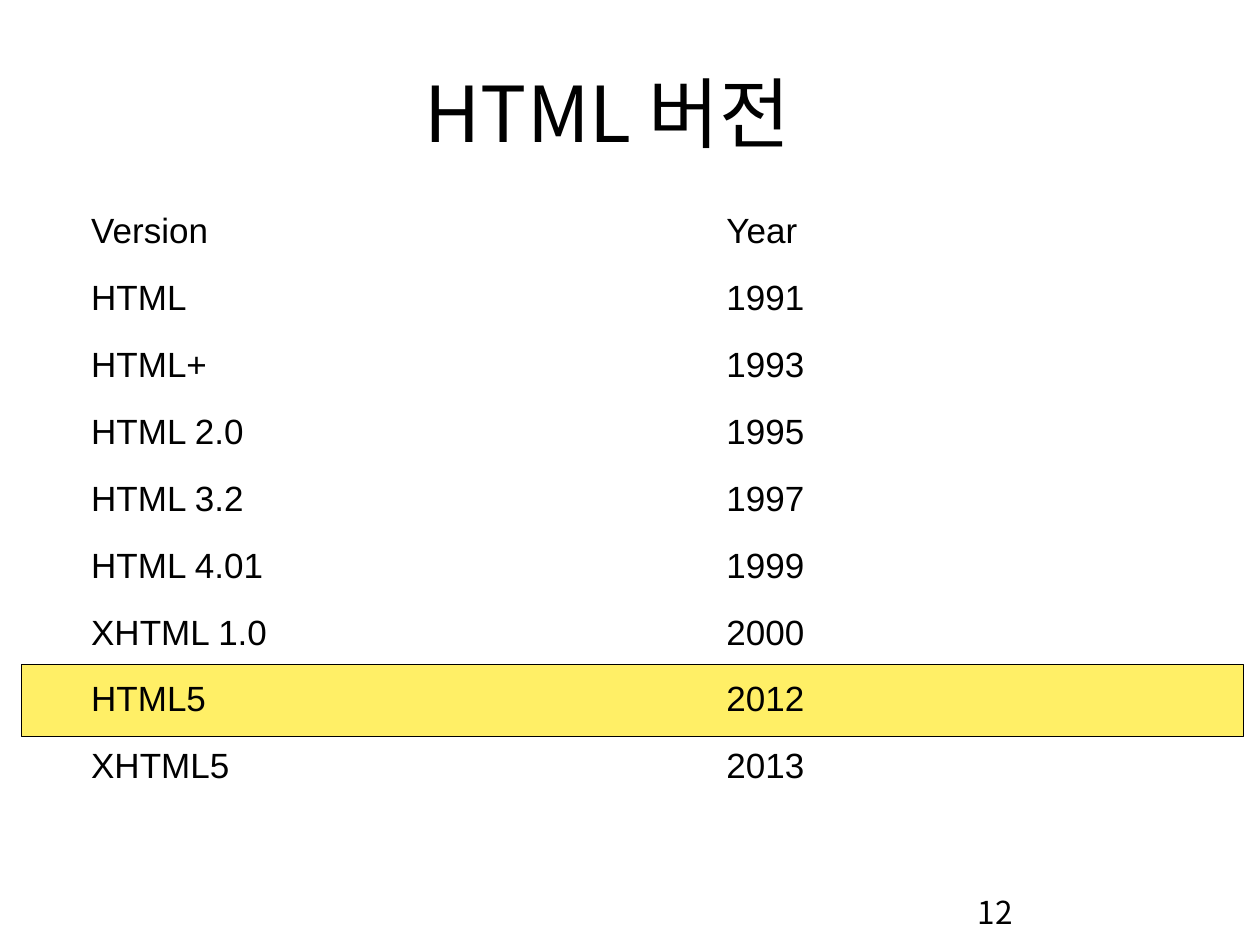
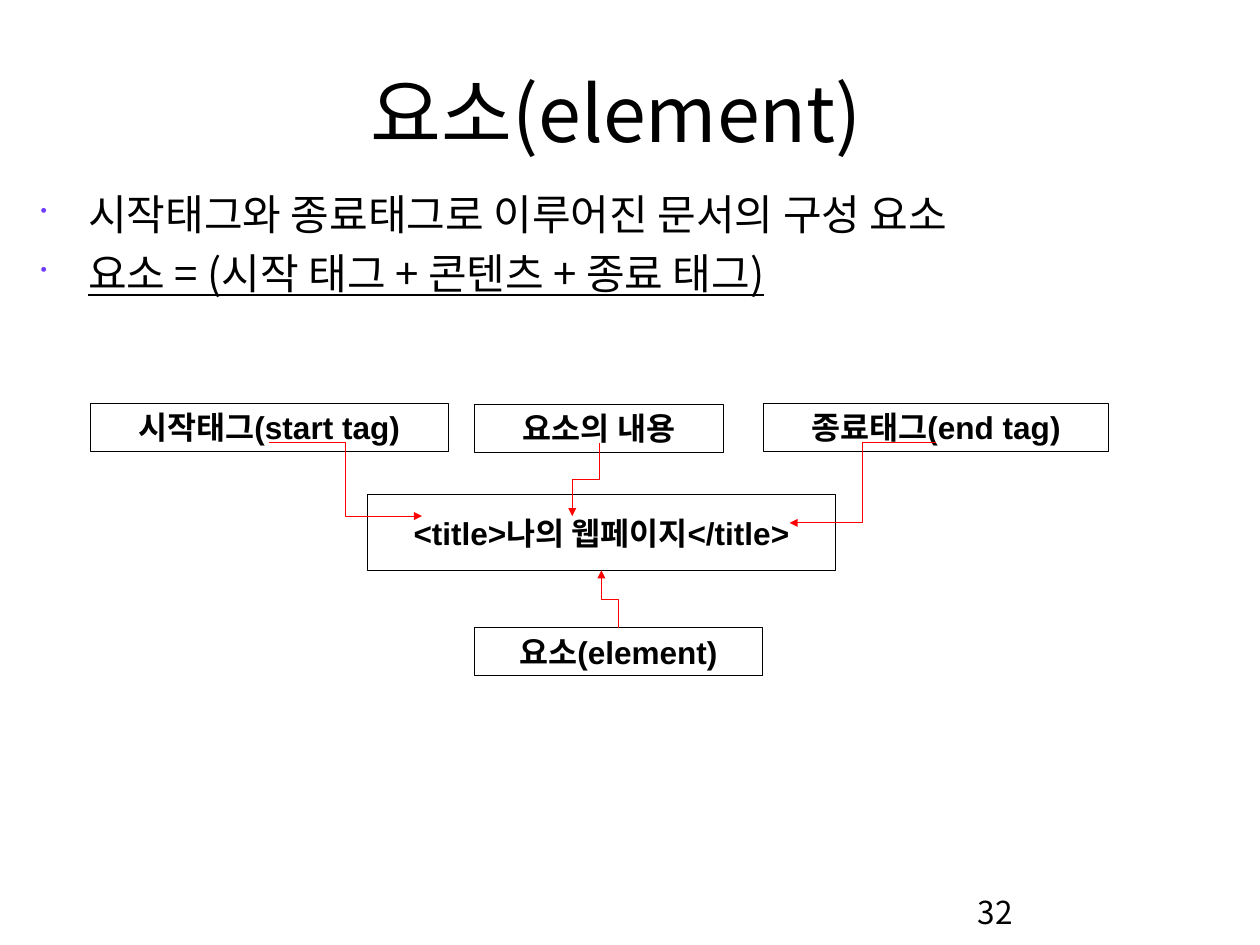
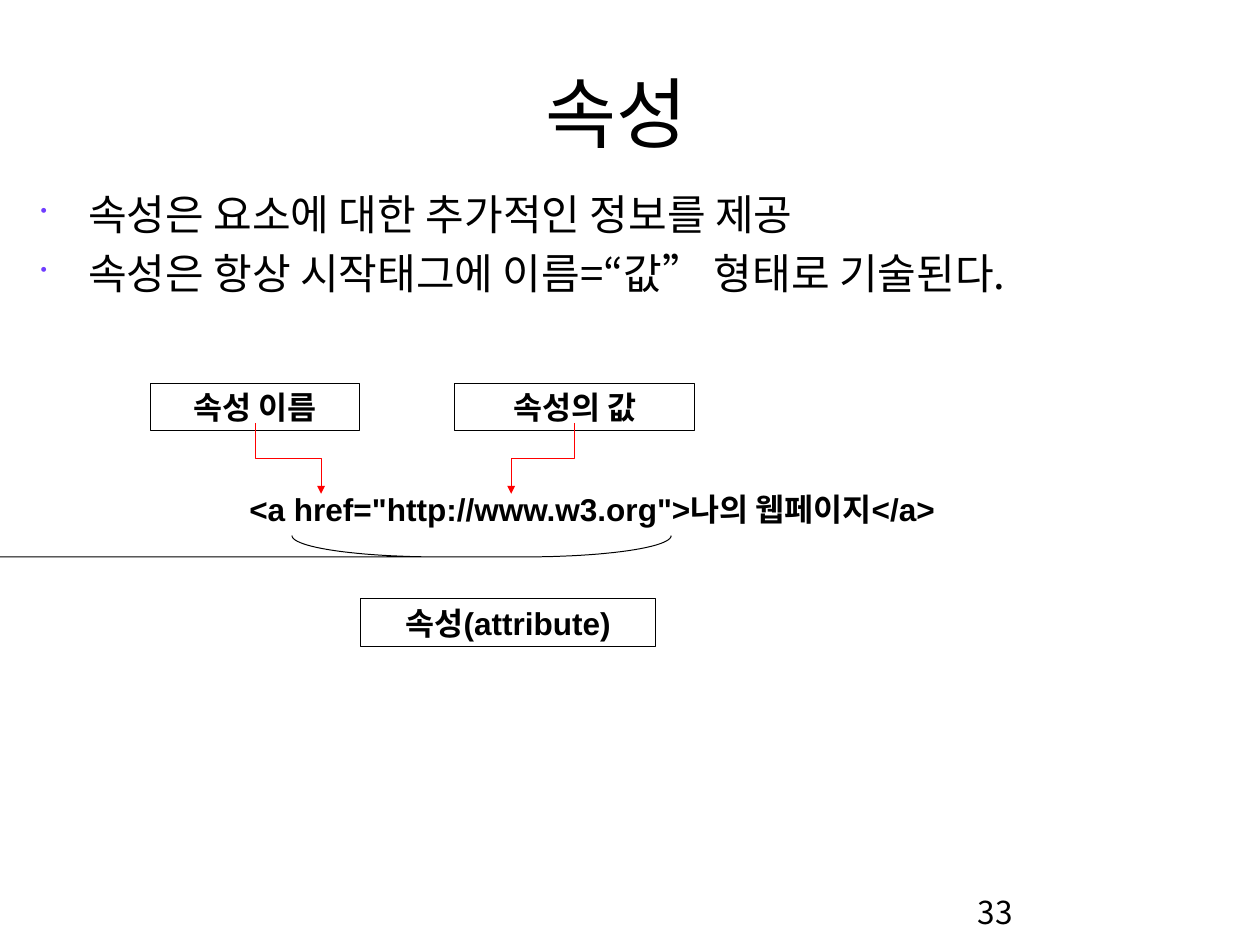
"""Build three slides on HTML versions, elements and attributes."""
import math
from dataclasses import dataclass

import lxml.etree
import pptx
import pptx.dml.color
import pptx.enum.shapes
import pptx.enum.text
import pptx.oxml.ns
import pptx.util
from pptx.util import Inches

BLACK = pptx.dml.color.RGBColor(0x00, 0x00, 0x00)
RED = pptx.dml.color.RGBColor(0xFF, 0x00, 0x00)
YELLOW = pptx.dml.color.RGBColor(0xFF, 0xEF, 0x66)
BULLET = pptx.dml.color.RGBColor(0x70, 0x3D, 0xFF)
SANS = "Noto Sans CJK KR"
ARIAL = "Arial"
PLAIN_TABLE = "{2D5ABB26-0587-4C30-8999-92F81FD0307C}"
ALIGN = pptx.enum.text.PP_ALIGN
ANCHOR = pptx.enum.text.MSO_ANCHOR
SHAPE = pptx.enum.shapes.MSO_SHAPE
LINK = pptx.enum.shapes.MSO_CONNECTOR
qn = pptx.oxml.ns.qn

VERSIONS = [
    ("Version", "Year"),
    ("HTML", "1991"),
    ("HTML+", "1993"),
    ("HTML 2.0", "1995"),
    ("HTML 3.2", "1997"),
    ("HTML 4.01", "1999"),
    ("XHTML 1.0", "2000"),
    ("HTML5", "2012"),
    ("XHTML5", "2013"),
]


@dataclass
class Box:
    """A bold label, framed or bare."""

    text: str
    left: float
    top: float
    width: float
    height: float = 0.49
    framed: bool = True


@dataclass
class Arrow:
    """A bent arrow that leaves its start sideways or upright."""

    x1: float
    y1: float
    x2: float
    y2: float
    upright: bool = True


def style(para, size: float, face: str = SANS, bold: bool = False) -> None:
    """Set the font of a whole paragraph."""
    font = para.font
    font.size = pptx.util.Pt(size)
    font.bold = bold
    font.color.rgb = BLACK
    font.name = face
    props = para._p.pPr.find(qn("a:defRPr"))
    lxml.etree.SubElement(props, qn("a:ea"), typeface=SANS)


def add_text(slide, text: str, left: float, top: float, width: float, height: float):
    """Add a wrapping text box and return its frame."""
    box = slide.shapes.add_textbox(Inches(left), Inches(top), Inches(width), Inches(height))
    frame = box.text_frame
    frame.word_wrap = True
    frame.text = text
    return frame


def add_base(deck, title: str, number: int):
    """Add a slide with its title and page number."""
    slide = deck.slides.add_slide(deck.slide_layouts[6])
    frame = add_text(slide, title, 1.05, 0.61, 10.61, 1.08)
    frame.vertical_anchor = ANCHOR.MIDDLE
    frame.paragraphs[0].alignment = ALIGN.CENTER
    style(frame.paragraphs[0], 57.2)
    style(add_text(slide, str(number), 9.98, 9.15, 2.68, 0.6).paragraphs[0], 23.4)
    return slide


def add_points(slide, lines: list[str], under: int = -1) -> None:
    """Add the bulleted lines, one of them underlined if asked."""
    frame = add_text(slide, "\n".join(lines), 0.32, 1.89, 12.32, 7.06)
    for index, para in enumerate(frame.paragraphs):
        if index:
            para.space_before = pptx.util.Pt(6.2)
        props = para._p.get_or_add_pPr()
        props.set("marL", str(Inches(0.49)))
        props.set("indent", str(-Inches(0.49)))
        tint = lxml.etree.SubElement(props, qn("a:buClr"))
        lxml.etree.SubElement(tint, qn("a:srgbClr"), val=str(BULLET))
        lxml.etree.SubElement(props, qn("a:buSzPct"), val="45000")
        lxml.etree.SubElement(props, qn("a:buChar"), char="•")
        style(para, 31.2)
        if index == under:
            para.font.underline = True


def outline(shape) -> None:
    """Give a shape a thin black line and no shadow."""
    shape.shadow.inherit = False
    shape.line.color.rgb = BLACK
    shape.line.width = pptx.util.Pt(0.75)


def add_box(slide, box: Box) -> None:
    """Draw one label."""
    shape = slide.shapes.add_shape(
        SHAPE.RECTANGLE, Inches(box.left), Inches(box.top), Inches(box.width), Inches(box.height)
    )
    outline(shape)
    shape.fill.background()
    if not box.framed:
        shape.line.fill.background()
    frame = shape.text_frame
    frame.word_wrap = True
    frame.vertical_anchor = ANCHOR.MIDDLE
    frame.text = box.text
    frame.paragraphs[0].alignment = ALIGN.CENTER if box.framed else ALIGN.LEFT
    frame.margin_left = frame.margin_right = Inches(0.1 if box.framed else 0.13)
    style(frame.paragraphs[0], 23.4, ARIAL, True)


def add_arrow(slide, arrow: Arrow) -> None:
    """Draw one red bent arrow, turned a quarter if upright."""
    x1, y1, x2, y2 = arrow.x1, arrow.y1, arrow.x2, arrow.y2
    turn = 0
    if arrow.upright:
        mid_x, mid_y = (x1 + x2) / 2, (y1 + y2) / 2
        half_x, half_y = (x2 - x1) / 2, (y2 - y1) / 2
        turn = 90 if half_x * half_y < 0 else 270
        sign = 1 if turn == 90 else -1
        x1, x2 = mid_x - sign * half_y, mid_x + sign * half_y
        y1, y2 = mid_y + sign * half_x, mid_y - sign * half_x
    link = slide.shapes.add_connector(LINK.ELBOW, Inches(x1), Inches(y1), Inches(x2), Inches(y2))
    link.line.color.rgb = RED
    link.line.width = pptx.util.Pt(0.75)
    props = link._element.spPr
    if turn:
        props.find(qn("a:xfrm")).set("rot", str(turn * 60000))
    lxml.etree.SubElement(props.find(qn("a:ln")), qn("a:tailEnd"), type="triangle")
    lxml.etree.SubElement(props, qn("a:effectLst"))


def add_brace(slide) -> None:
    """Draw the curved line under the attribute."""
    top, drop, reach, steps = 5.52, 0.22, 1.51, 24
    angles = [math.pi / 2 * step / steps for step in range(steps + 1)]
    right = [(5.41 + reach * math.cos(a), top + drop * math.sin(a)) for a in angles]
    left = [(4.52 - reach * math.cos(a), top + drop * math.sin(a)) for a in reversed(angles)]
    points = [(Inches(x), Inches(y)) for x, y in right + [(0, top + drop)] + left]
    pen = slide.shapes.build_freeform(*points[0])
    pen.add_line_segments(points[1:], close=False)
    shape = pen.convert_to_shape()
    shape.fill.background()
    outline(shape)


def add_table(slide) -> None:
    """Add the plain table of versions."""
    rows = len(VERSIONS)
    table = slide.shapes.add_table(
        rows, 2, Inches(0.85), Inches(2), Inches(11.42), Inches(0.69 * rows)
    ).table
    table.first_row = table.horz_banding = False
    table._tbl.tblPr.find(qn("a:tableStyleId")).text = PLAIN_TABLE
    for column, width in zip(table.columns, (6.55, 4.87)):
        column.width = Inches(width)
    for row, texts in zip(table.rows, VERSIONS):
        for cell, text in zip(row.cells, texts):
            cell.text = text
            cell.fill.background()
            cell.vertical_anchor = ANCHOR.MIDDLE
            cell.margin_left = cell.margin_right = Inches(0.09)
            para = cell.text_frame.paragraphs[0]
            para.alignment = ALIGN.JUSTIFY
            para.line_spacing = 1.2
            style(para, 26, ARIAL)


def draw(slide, boxes: list[Box], arrows: list[Arrow]) -> None:
    """Draw the labels, then the arrows over them."""
    for box in boxes:
        add_box(slide, box)
    for arrow in arrows:
        add_arrow(slide, arrow)


def main() -> None:
    """Build and save the deck."""
    deck = pptx.Presentation()
    deck.slide_width, deck.slide_height = Inches(12.99), Inches(9.74)

    slide = add_base(deck, "HTML 버전 ", 12)
    band = slide.shapes.add_shape(
        SHAPE.RECTANGLE, Inches(0.22), Inches(6.85), Inches(12.6), Inches(0.74)
    )
    outline(band)
    band.fill.solid()
    band.fill.fore_color.rgb = YELLOW
    add_table(slide)

    slide = add_base(deck, "요소(element)", 32)
    add_points(
        slide,
        ["시작태그와 종료태그로 이루어진 문서의 구성 요소", "요소 = (시작 태그 + 콘텐츠 + 종료 태그)"],
        under=1,
    )
    draw(
        slide,
        [
            Box("<title>나의 웹페이지</title>", 3.79, 5.1, 4.82, 0.78),
            Box("시작태그(start tag)", 0.93, 4.16, 3.69),
            Box("요소(element)", 4.89, 6.47, 2.97),
            Box("종료태그(end tag)", 7.87, 4.16, 3.56),
            Box("요소의 내용", 4.89, 4.17, 2.57),
        ],
        [
            Arrow(6.18, 4.57, 5.9, 5.32),
            Arrow(9.65, 4.56, 8.14, 5.39, False),
            Arrow(2.77, 4.56, 4.35, 5.32, False),
            Arrow(6.38, 6.47, 6.2, 5.88),
        ],
    )

    slide = add_base(deck, "속성", 33)
    add_points(
        slide,
        ["속성은 요소에 대한 추가적인 정보를 제공", "속성은 항상 시작태그에 이름=“값” 형태로 기술된다."],
    )
    draw(
        slide,
        [
            Box('<a href="http://www.w3.org">나의 웹페이지</a>', 2.44, 4.86, 7.66, 0.78, False),
            Box("속성 이름", 1.55, 3.95, 2.16),
            Box("속성(attribute)", 3.72, 6.17, 3.04),
            Box("속성의 값", 4.69, 3.95, 2.47),
        ],
        [Arrow(5.92, 4.36, 5.27, 5.09), Arrow(2.63, 4.36, 3.31, 5.09)],
    )
    add_brace(slide)
    deck.save("out.pptx")


if __name__ == "__main__":
    main()
